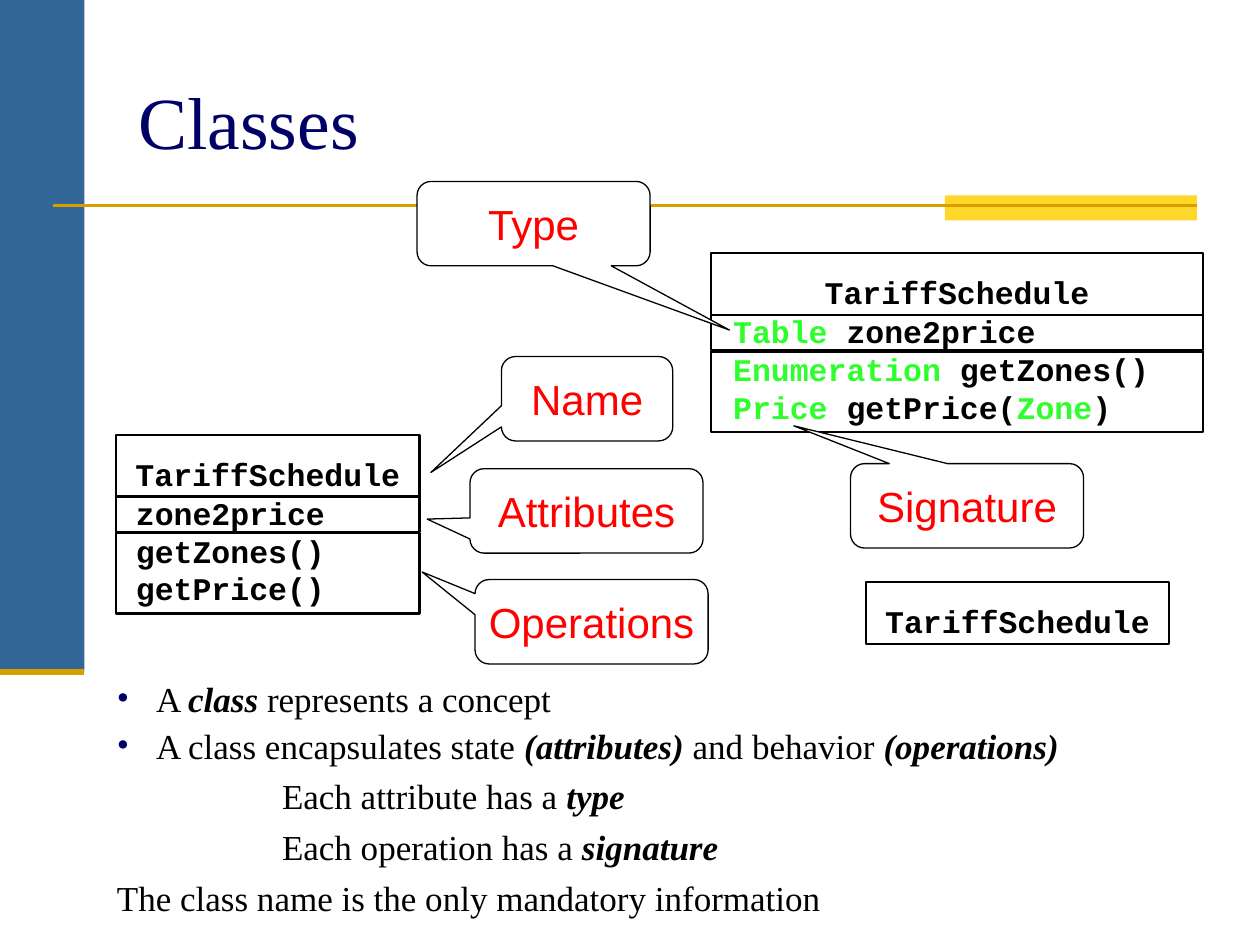
from pptx import Presentation
from pptx.dml.color import RGBColor
from pptx.enum.shapes import MSO_CONNECTOR as CONN, MSO_SHAPE as SHAPE
from pptx.enum.text import MSO_ANCHOR as ANCHOR, PP_ALIGN as ALIGN
from pptx.oxml.ns import qn
from pptx.util import Inches, Pt
from lxml.etree import SubElement

NAVY, BLACK, RED, GREEN = "000066", "000000", "FF0000", "2EFF2C"
BLUE, YELLOW, GOLD, WHITE = "336699", "FFD72B", "D89F00", "FFFFFF"
SERIF, SANS, MONO = "Times New Roman", "Arial", "Courier New"
HEAD_H, ATTR_H, OPS_H = 0.49, 0.28, 0.64  # compartments of a class box


def color(value):
    return RGBColor.from_string(value)


def inches(*lengths):
    return [Inches(v) for v in lengths]


def add_run(p, text, size=20, font=SERIF, fill=BLACK, bold=False, italic=False):
    r = p.add_run()
    r.text = text
    r.font.size, r.font.name = Pt(size), font
    r.font.bold, r.font.italic = bold, italic
    r.font.color.rgb = color(fill)


def set_frame(sp, wrap=True, anchor=ANCHOR.TOP, inset=(0.1, 0.05)):
    tf = sp.text_frame
    tf.word_wrap, tf.vertical_anchor = wrap, anchor
    tf.margin_left = tf.margin_right = Inches(inset[0])
    tf.margin_top = tf.margin_bottom = Inches(inset[1])
    return tf


def add_text(slide, box, paragraphs, align=ALIGN.LEFT, frame=None, **fmt):
    """Each paragraph is a list of (text, run format) pairs."""
    tf = set_frame(slide.shapes.add_textbox(*inches(*box)), **(frame or {}))
    for i, runs in enumerate(paragraphs):
        p = tf.add_paragraph() if i else tf.paragraphs[0]
        p.alignment = align
        for text, extra in runs:
            add_run(p, text, **{**fmt, **extra})
    return tf


def add_box(slide, box, kind=SHAPE.RECTANGLE, fill=None, line=None, width=1.25):
    sp = slide.shapes.add_shape(kind, *inches(*box))
    sp.shadow.inherit = False
    if fill:
        sp.fill.solid()
        sp.fill.fore_color.rgb = color(fill)
    else:
        sp.fill.background()
    if line:
        sp.line.color.rgb = color(line)
        sp.line.width = Pt(width)
    else:
        sp.line.fill.background()
    return sp


def add_rule(slide, x1, x2, y, width):
    line = slide.shapes.add_connector(CONN.STRAIGHT, *inches(x1, y, x2, y))
    line.line.color.rgb = color(GOLD)
    line.line.width = Pt(width)
    SubElement(line._element.spPr, qn("a:effectLst"))


def add_background(slide):
    add_box(slide, (0, 0, 0.67, 5.33), fill=BLUE)
    add_box(slide, (7.5, 1.55, 2, 0.2), fill=YELLOW)
    add_rule(slide, 0.42, 9.5, 1.63, 1.5)
    add_rule(slide, 0, 0.67, 5.33, 3.5)


def add_class(slide, left, top, width, members=(), indent=0.07):
    """UML class: name compartment, then attributes and operations if given."""
    mono = dict(size=18, font=MONO, bold=True)
    if members:
        add_text(slide, (left + indent, top + 0.42, width - 0.02, 1), members, **mono)
    add_box(slide, (left, top, width, HEAD_H), line=BLACK)
    name_w = 2.1
    add_text(slide, (left + (width - name_w) / 2, top + 0.16, name_w, 0.3),
             [[("TariffSchedule", {})]], align=ALIGN.CENTER,
             frame=dict(wrap=False, inset=(0, 0)), **mono)
    if members:
        y = top + HEAD_H
        for height in (ATTR_H, OPS_H):
            add_box(slide, (left, y, width, height), line=BLACK)
            y += height + 0.01


def add_callout(slide, text, left, top, tip, width=1.85, height=0.67):
    """Rounded callout whose tail ends at the point tip."""
    sp = add_box(slide, (left, top, width, height),
                 SHAPE.ROUNDED_RECTANGULAR_CALLOUT, WHITE, BLACK, 0.75)
    sp.adjustments[0] = (tip[0] - left) / width - 0.5
    sp.adjustments[1] = (tip[1] - top) / height - 0.5
    sp.adjustments[2] = 0.167
    tf = set_frame(sp, wrap=False, anchor=ANCHOR.MIDDLE)
    tf.paragraphs[0].alignment = ALIGN.CENTER
    add_run(tf.paragraphs[0], text, 24, SANS, RED)


def add_bullet(p):
    pPr = p._p.get_or_add_pPr()
    bu_color = SubElement(pPr, qn("a:buClr"))
    SubElement(bu_color, qn("a:srgbClr")).set("val", NAVY)
    SubElement(pPr, qn("a:buFont")).set("typeface", SERIF)
    SubElement(pPr, qn("a:buChar")).set("char", "•")


def add_notes_list(slide, box):
    strong = dict(bold=True, italic=True)
    # (left margin, first-line indent, line spacing, bulleted)
    bullet, sub, plain = (0.31, -0.31, 0.7, True), (1.31, 0, 0.8, False), (0, 0, 0.8, False)
    lines = [
        (bullet, [("A ", {}), ("class", strong), (" represents a concept", {})]),
        (bullet, [("A class encapsulates state ", {}), ("(attributes)", strong),
                  (" and behavior ", {}), ("(operations)", strong)]),
        (sub, [("Each attribute has a ", {}), ("type", strong)]),
        (sub, [("Each operation has a ", {}), ("signature", strong)]),
        (plain, [("The class name is the only mandatory information", {})]),
    ]
    tf = add_text(slide, box, [runs for _, runs in lines])
    for p, ((margin, indent, spacing, bulleted), _) in zip(tf.paragraphs, lines):
        p.line_spacing = spacing
        p.space_before = p.space_after = Pt(5)
        pPr = p._p.get_or_add_pPr()
        pPr.set("marL", str(Inches(margin)))
        pPr.set("indent", str(Inches(indent)))
        if bulleted:
            add_bullet(p)


def main():
    prs = Presentation()
    prs.slide_width, prs.slide_height = inches(10, 7.5)
    slide = prs.slides.add_slide(prs.slide_layouts[6])

    add_background(slide)
    add_text(slide, (1, 0.33, 8.5, 1.25), [[("Classes", {})]],
             frame=dict(anchor=ANCHOR.MIDDLE), size=42, fill=NAVY)
    add_notes_list(slide, (0.83, 5.42, 8.75, 2.08))

    # Class with types and signatures, class with names, class name alone
    typ = dict(fill=GREEN)
    add_class(slide, 5.64, 2.01, 3.91, [
        [("Table", typ), (" zone2price", {})],
        [("Enumeration", typ), (" getZones()", {})],
        [("Price", typ), (" getPrice(", {}), ("Zone", typ), (")", {})],
    ], indent=0.08)
    add_class(slide, 0.92, 3.45, 2.41,
              [[(name, {})] for name in ("zone2price", "getZones()", "getPrice()")],
              indent=0.06)
    add_class(slide, 6.87, 4.62, 2.41)

    # Callouts
    add_callout(slide, "Name", 3.98, 2.83, (3.42, 3.75), width=1.36)
    add_callout(slide, "Attributes", 3.73, 3.72, (3.39, 4.12))
    add_callout(slide, "Operations", 3.77, 4.6, (3.35, 4.54))
    add_callout(slide, "Signature", 6.75, 3.68, (6.3, 3.38))
    add_callout(slide, "Type", 3.31, 1.44, (5.79, 2.62))

    prs.save("out.pptx")


if __name__ == "__main__":
    main()
